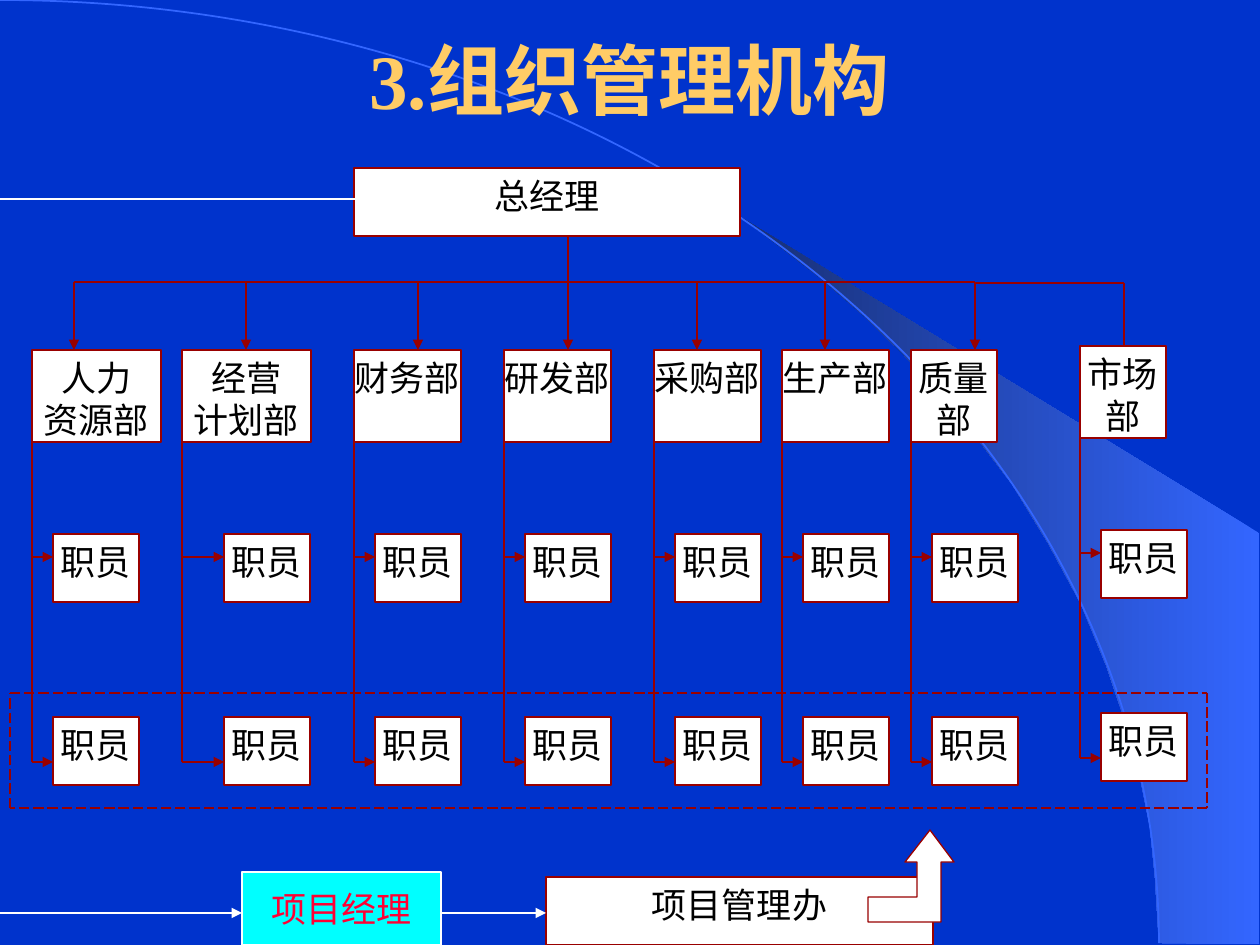
import pptx
import pptx.dml.color
import pptx.enum.dml
import pptx.enum.shapes
import pptx.enum.text
import pptx.oxml
import pptx.oxml.ns
import pptx.util

RGB = pptx.dml.color.RGBColor
SHAPE = pptx.enum.shapes.MSO_SHAPE
ANCHOR = pptx.enum.text.MSO_ANCHOR
DASH = pptx.enum.dml.MSO_LINE.LONG_DASH

NAVY = RGB(0x00, 0x33, 0xCC)
SKY = RGB(0x33, 0x66, 0xFF)
DUSK = RGB(0x17, 0x2F, 0x75)
GOLD = RGB(0xFF, 0xCC, 0x66)
MAROON = RGB(0x99, 0x00, 0x00)
RED = RGB(0xFF, 0x00, 0x33)
CYAN = RGB(0x00, 0xFF, 0xFF)
WHITE = RGB(0xFF, 0xFF, 0xFF)
BLACK = RGB(0x00, 0x00, 0x00)

EMU_PER_PX = 914400 / 126


def px(length):
    return round(length * EMU_PER_PX)


class Chart:
    """Style of the organisation chart and the slide it is drawn on."""

    font = "Times New Roman"
    line_width = pptx.util.Pt(0.75)

    def __init__(self, slide):
        self.slide = slide
        self.shapes = slide.shapes

    def background(self, color):
        fill = self.slide.background.fill
        fill.solid()
        fill.fore_color.rgb = color

    def set_text(self, frame, text, color, size, bold=False, anchor=ANCHOR.TOP, inset=13, wrap=True):
        frame.text = text
        frame_format = {
            "word_wrap": wrap, "vertical_anchor": anchor,
            "margin_left": px(inset), "margin_right": px(inset),
            "margin_top": px(6), "margin_bottom": px(6),
        }
        for name, value in frame_format.items():
            setattr(frame, name, value)
        font_format = {"name": self.font, "size": pptx.util.Pt(size), "bold": bold}
        for paragraph in frame.paragraphs:
            paragraph.alignment = pptx.enum.text.PP_ALIGN.CENTER
            for name, value in font_format.items():
                setattr(paragraph.font, name, value)
            paragraph.font.color.rgb = color

    def title(self, text, left, top, width, height):
        """Fill the title placeholder and bring it in front of what is drawn so far."""
        title = self.shapes.title
        place = {"left": left, "top": top, "width": width, "height": height}
        for name, value in place.items():
            setattr(title, name, px(value))
        self.set_text(title.text_frame, text, GOLD, 44, bold=True, anchor=ANCHOR.MIDDLE)
        self.shapes.element.append(title.element)

    def box(self, text, left, top, width, height, fill=WHITE, line=MAROON, color=BLACK, **text_format):
        box = self.shapes.add_shape(SHAPE.RECTANGLE, px(left), px(top), px(width), px(height))
        self.paint(box, fill, line)
        self.set_text(box.text_frame, text, color, 20, **text_format)

    def paint(self, shape, fill, line):
        shape.shadow.inherit = False
        shape.fill.solid()
        shape.fill.fore_color.rgb = fill
        shape.line.color.rgb = line
        shape.line.width = self.line_width

    def outline(self, points):
        corners = [(px(x), px(y)) for x, y in points]
        builder = self.shapes.build_freeform(*corners[0])
        builder.add_line_segments(corners[1:], close=True)
        return builder.convert_to_shape()

    def beam(self, points):
        """Light beam fading from right to left."""
        beam = self.outline(points)
        beam.shadow.inherit = False
        beam.line.fill.background()
        beam.fill.gradient()
        beam.fill.gradient_angle = 180
        for stop, color, position in zip(beam.fill.gradient_stops, (SKY, DUSK), (0, 1)):
            stop.color.rgb = color
            stop.position = position

    def arc(self, radius_x, radius_y):
        """Quarter ellipse centred on the left edge of the slide, starting at its top."""
        arc = self.shapes.add_shape(SHAPE.ARC, px(-radius_x), 0, px(2 * radius_x), px(2 * radius_y))
        arc.shadow.inherit = False
        arc.fill.background()
        arc.line.color.rgb = SKY
        arc.line.width = pptx.util.Pt(1)

    def line(self, x1, y1, x2, y2, color=MAROON, arrow=False, dash=None):
        line = self.shapes.add_connector(
            pptx.enum.shapes.MSO_CONNECTOR.STRAIGHT, px(x1), px(y1), px(x2), px(y2))
        line_format = {"width": self.line_width, "dash_style": dash}
        for name, value in line_format.items():
            setattr(line.line, name, value)
        line.line.color.rgb = color
        properties = line.element.spPr
        if arrow:
            tail = pptx.oxml.parse_xml(f'<a:tailEnd {pptx.oxml.ns.nsdecls("a")} type="triangle"/>')
            properties.get_or_add_ln().append(tail)
        properties.append(pptx.oxml.parse_xml(f'<a:effectLst {pptx.oxml.ns.nsdecls("a")}/>'))

    def department(self, name, left, width, indent=21, trunk_top=442, rise=0):
        """Department box with two staff boxes hanging from a trunk on its left edge."""
        self.box(name, left, 350 - rise, width, 92, inset=0)
        for staff_top in (534, 717):
            self.box("职员", left + indent, staff_top - rise, 86, 68, inset=0)
        self.line(left, trunk_top - rise, left, 762 - rise)
        for branch in (557, 762):
            self.line(left, branch - rise, left + indent, branch - rise, arrow=True)


BEAM = [
    (1159, 943), (1259, 944), (1259, 533), (742, 218), (786, 251), (823, 280),
    (863, 315), (902, 353), (960, 416), (1012, 484), (1048, 543), (1081, 604),
    (1106, 665), (1125, 721), (1138, 767), (1150, 827), (1155, 877),
]
BENT_ARROW = [
    (868, 897), (917, 897), (917, 862), (905, 862), (930, 830),
    (954, 862), (941, 862), (941, 922), (868, 922),
]
DEPARTMENTS = [
    {"name": "人力\n资源部", "left": 32, "width": 129},
    {"name": "经营\n计划部", "left": 182, "width": 129, "indent": 42},
    {"name": "财务部", "left": 354, "width": 107},
    {"name": "研发部", "left": 504, "width": 107, "trunk_top": 420},
    {"name": "采购部", "left": 654, "width": 107, "trunk_top": 420},
    {"name": "生产部", "left": 782, "width": 107},
    {"name": "质量部", "left": 911, "width": 86},
    {"name": "市场部", "left": 1080, "width": 86, "rise": 4},
]
DROPS = [74, 246, 418, 568, 697, 825, 975]
BUS = 282
FRAME = [(10, 693), (1207, 693), (1207, 808), (10, 808)]


def main():
    deck = pptx.Presentation()
    deck.slide_width, deck.slide_height = px(1260), px(945)
    chart = Chart(deck.slides.add_slide(deck.slide_layouts[5]))

    chart.background(NAVY)
    chart.beam(BEAM)
    chart.arc(1159, 943)
    chart.title("3.组织管理机构", 94, 0, 1071, 158)

    chart.box("总经理", 354, 168, 386, 68)
    chart.line(DROPS[0], BUS, DROPS[-1], BUS)
    for drop in DROPS:
        chart.line(drop, BUS, drop, 350, arrow=True)
    chart.line(568, 237, 568, BUS)
    chart.line(976, 283, 1124, 283)
    chart.line(1124, 283, 1124, 346)
    for department in DEPARTMENTS:
        chart.department(**department)

    for start, end in zip(FRAME, FRAME[1:] + FRAME[:1]):
        chart.line(*start, *end, dash=DASH)

    chart.box("项目管理办", 546, 877, 387, 68)
    chart.paint(chart.outline(BENT_ARROW), WHITE, MAROON)
    chart.box("项目经理", 242, 872, 199, 73, fill=CYAN, line=WHITE, color=RED,
              anchor=ANCHOR.MIDDLE, wrap=False)
    chart.line(441, 913, 546, 913, color=WHITE, arrow=True)
    chart.line(0, 913, 242, 913, color=WHITE, arrow=True)
    chart.line(0, 199, 357, 199, color=WHITE)

    deck.save("out.pptx")


if __name__ == "__main__":
    main()
